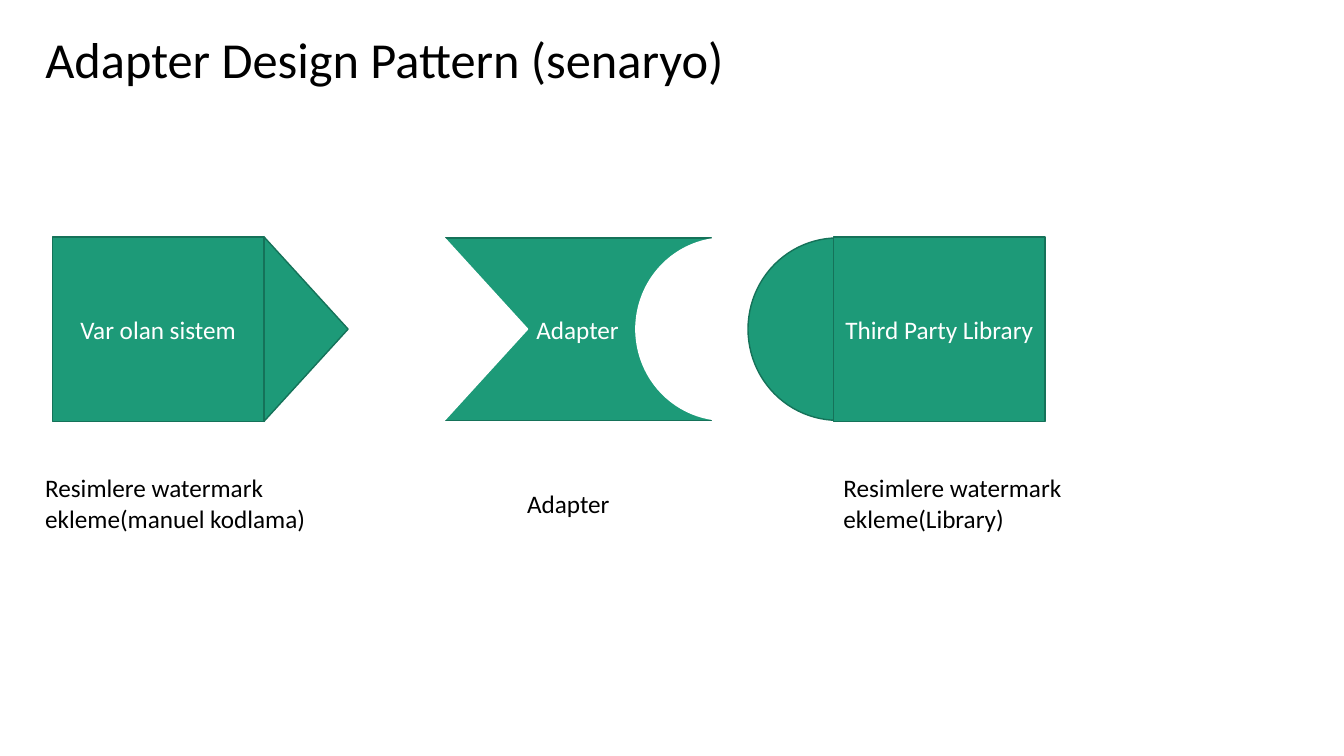
from pptx import Presentation
from pptx.dml.color import RGBColor
from pptx.enum.shapes import MSO_SHAPE
from pptx.enum.text import MSO_ANCHOR, MSO_AUTO_SIZE, PP_ALIGN
from pptx.util import Pt

COLORS = {"green": "1D9A78", "outline": "157259", "white": "FFFFFF", "black": "000000"}
FONT = "Calibri"
PLUG_WIDTH = 120.2
BALL_WIDTH, BALL_HEIGHT = 128.2, 130.3


def color(name):
    return RGBColor.from_string(COLORS[name])


def format_paragraph(paragraph, size, color_name):
    paragraph.font.name = FONT
    paragraph.font.size = Pt(size)
    paragraph.font.color.rgb = color(color_name)


def add_block(slide, kind, box, fill="green", line="outline", label=None):
    shape = slide.shapes.add_shape(kind, *map(Pt, box))
    shape.shadow.inherit = False
    shape.fill.solid()
    shape.fill.fore_color.rgb = color(fill)
    shape.line.color.rgb = color(line)
    shape.line.width = Pt(1)
    if label:
        frame = shape.text_frame
        frame.word_wrap = True
        frame.vertical_anchor = MSO_ANCHOR.MIDDLE
        paragraph = frame.paragraphs[0]
        paragraph.text = label
        paragraph.alignment = PP_ALIGN.CENTER
        format_paragraph(paragraph, 18, "white")


def add_diamond(slide, center_x, top, height, **colors):
    box = (center_x - PLUG_WIDTH / 2, top, PLUG_WIDTH, height)
    add_block(slide, MSO_SHAPE.FLOWCHART_DECISION, box, **colors)


def add_ball(slide, center_x, center_y, **colors):
    box = (center_x - BALL_WIDTH / 2, center_y - BALL_HEIGHT / 2, BALL_WIDTH, BALL_HEIGHT)
    add_block(slide, MSO_SHAPE.OVAL, box, **colors)


# Title
def add_title(slide, box, text):
    title = slide.shapes.title
    title.left, title.top, title.width, title.height = map(Pt, box)
    frame = title.text_frame
    frame.word_wrap = True
    frame.auto_size = MSO_AUTO_SIZE.NONE
    frame.vertical_anchor = MSO_ANCHOR.BOTTOM
    paragraph = frame.paragraphs[0]
    paragraph.text = text
    paragraph.alignment = PP_ALIGN.LEFT
    paragraph.line_spacing = 0.9
    format_paragraph(paragraph, 36, "black")


# Existing system: a body with a pointed plug on its right edge
def add_existing_system(slide, box, label):
    left, top, width, height = box
    add_diamond(slide, left + width, top, height)
    add_block(slide, MSO_SHAPE.RECTANGLE, box, label=label)


# Adapter: a body with a pointed socket on the left and a round one on the right
def add_adapter(slide, box, label):
    left, top, width, height = box
    cutout = {"fill": "white", "line": "white"}
    body = (left, top + 0.7, width, BALL_HEIGHT)
    add_block(slide, MSO_SHAPE.FLOWCHART_PROCESS, body, label=label)
    add_diamond(slide, left, top, height, **cutout)
    add_ball(slide, left + width + 10, top + height / 2, **cutout)


# Library: a body with a round plug on its left edge
def add_library(slide, box, label):
    left, top, width, height = box
    add_ball(slide, left + 3, top + height / 2)
    add_block(slide, MSO_SHAPE.RECTANGLE, box, label=label)


# Caption under a block
def add_caption(slide, box, lines):
    frame = slide.shapes.add_textbox(*map(Pt, box)).text_frame
    frame.word_wrap = False
    frame.auto_size = MSO_AUTO_SIZE.SHAPE_TO_FIT_TEXT
    frame.text = "\n".join(lines)
    for paragraph in frame.paragraphs:
        format_paragraph(paragraph, 18, "black")


def main():
    presentation = Presentation()
    presentation.slide_width, presentation.slide_height = Pt(960), Pt(540)
    slide = presentation.slides.add_slide(presentation.slide_layouts[5])

    add_title(slide, (25.2, 24.5, 797.8, 43.2), "Adapter Design Pattern (senaryo)")

    top, height = 169.2, 131.8
    add_existing_system(slide, (37.4, top, 151.2, height), "Var olan sistem")
    add_adapter(slide, (316.8, top, 191.5, height), "Adapter")
    add_library(slide, (595.4, top, 151.2, height), "Third Party Library")

    add_caption(slide, (25.2, 334, 206.6, 51), ["Resimlere watermark", "ekleme(manuel kodlama)"])
    add_caption(slide, (595.4, 334, 172, 51), ["Resimlere watermark", "ekleme(Library)"])
    add_caption(slide, (369.4, 345, 74.2, 29), ["Adapter"])

    presentation.save("out.pptx")


if __name__ == "__main__":
    main()
